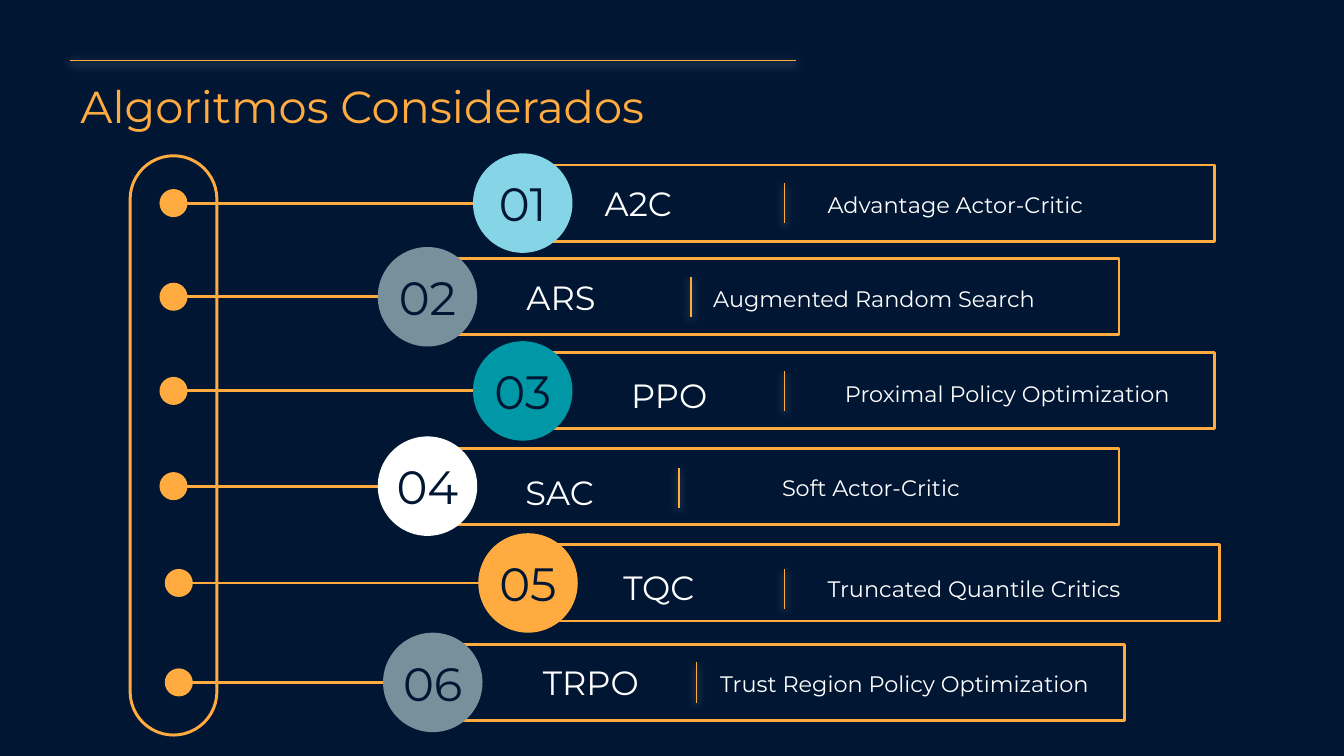
"""Build the slide listing the six algorithms considered."""
from dataclasses import dataclass

from lxml import etree
from pptx import Presentation
from pptx import util as u
from pptx.dml.color import RGBColor
from pptx.enum import shapes, text
from pptx.oxml import ns


@dataclass(frozen=True)
class Theme:
    font: str = "Montserrat"
    navy: str = "001633"
    orange: str = "FFAB40"
    white: str = "FFFFFF"
    sky: str = "85D5E6"
    slate: str = "78909C"
    teal: str = "0097A7"
    title: int = 24
    number: int = 25
    short: int = 18
    full: int = 12
    outline: float = 1.6
    hairline: float = 0.75


theme = Theme()
prs = Presentation()
prs.slide_width, prs.slide_height = u.Cm(25.4), u.Cm(14.29)
s = prs.slides.add_slide(prs.slide_layouts[6])
s.background.fill.solid()
s.background.fill.fore_color.rgb = RGBColor.from_string(theme.navy)


def add_shape(kind, cx, cy, w, h, fill=None):
    """Add a shape centred on a point, filled or else outlined."""
    sp = s.shapes.add_shape(kind, u.Cm(cx - w / 2), u.Cm(cy - h / 2), u.Cm(w), u.Cm(h))
    sp.shadow.inherit = False
    if fill:
        sp.fill.solid()
        sp.fill.fore_color.rgb = RGBColor.from_string(fill)
        sp.line.fill.background()
    else:
        sp.fill.background()
        sp.line.color.rgb = RGBColor.from_string(theme.orange)
        sp.line.width = u.Pt(theme.outline)
    return sp


def add_line(x1, y1, x2, y2, width, glow=False):
    """Add a straight orange line, with a soft white shadow if it glows."""
    ln = s.shapes.add_connector(shapes.MSO_CONNECTOR.STRAIGHT, u.Cm(x1), u.Cm(y1), u.Cm(x2), u.Cm(y2))
    ln.line.color.rgb = RGBColor.from_string(theme.orange)
    ln.line.width = u.Pt(width)
    effects = etree.SubElement(ln._element.spPr, ns.qn("a:effectLst"))
    if glow:
        shadow = etree.SubElement(effects, ns.qn("a:outerShdw"), blurRad=str(u.Pt(4.5)),
                                  dist=str(u.Pt(1.5)), dir="5400000", algn="bl", rotWithShape="0")
        color = etree.SubElement(shadow, ns.qn("a:srgbClr"), val=theme.white)
        etree.SubElement(color, ns.qn("a:alpha"), val="50000")


SHAPE = shapes.MSO_SHAPE
BAR_W, BAR_H, CIRCLE, DOT, DIVIDER, LABEL_H = 13.07, 1.44, 1.88, 0.53, 0.76, 1.52
LONG, SHORT = 6.6, 4.8

# y, dot x, reach, colour, divider (x, y), short name (text, x, y), full name (text, x, y, width)
rows = [
    (3.84, 3.28, LONG, theme.sky, (14.83, 3.84), ("A2C", 11.18, 3.84),
     ("Advantage Actor-Critic", 15.39, 3.86, 6.63)),
    (5.61, 3.28, SHORT, theme.slate, (13.06, 5.61), ("ARS", 9.7, 5.61),
     ("Augmented Random Search", 13.23, 5.64, 6.63)),
    (7.39, 3.28, LONG, theme.teal, (14.83, 7.39), ("PPO", 11.68, 7.47),
     ("Proximal Policy Optimization", 15.72, 7.44, 7.85)),
    (9.19, 3.28, SHORT, theme.white, (12.83, 9.22), ("SAC", 9.68, 9.3),
     ("Soft Actor-Critic", 14.53, 9.22, 6.63)),
    (11.02, 3.38, LONG, theme.orange, (14.83, 11.13), ("TQC", 11.53, 11.1),
     ("Truncated Quantile Critics", 15.39, 11.13, 6.63)),
    (12.9, 3.38, SHORT, theme.slate, (13.16, 12.9), ("TRPO", 10.01, 12.9),
     ("Trust Region Policy Optimization", 13.36, 12.93, 7.9)),
]

add_line(1.32, 1.14, 15.04, 1.14, theme.hairline, glow=True)
capsule = add_shape(SHAPE.ROUNDED_RECTANGLE, 3.28, 8.42, 1.64, 10.95)
capsule.adjustments[0] = 0.5

labels = [("Algoritmos Considerados", 1.27, 1.24, 22.23, 1.32, theme.title, theme.orange,
           text.MSO_ANCHOR.TOP)]
for i, (y, dot_x, reach, color, divider, short, full) in enumerate(rows, 1):
    x = dot_x + reach
    add_shape(SHAPE.RECTANGLE, x + BAR_W / 2, y, BAR_W, BAR_H)
    add_shape(SHAPE.OVAL, dot_x, y, DOT, DOT, theme.orange)
    add_line(dot_x, y, x, y, theme.outline)
    tf = add_shape(SHAPE.OVAL, x, y, CIRCLE, CIRCLE, color).text_frame
    tf.text = f"{i:02d}"
    tf.word_wrap = False
    tf.margin_left = tf.margin_right = tf.margin_top = tf.margin_bottom = 0
    tf.vertical_anchor = text.MSO_ANCHOR.MIDDLE
    p = tf.paragraphs[0]
    p.alignment = text.PP_ALIGN.CENTER
    r = p.runs[0]
    r.font.name, r.font.size = theme.font, u.Pt(theme.number)
    r.font.color.rgb = RGBColor.from_string(theme.navy)

    div_x, div_y = divider
    add_line(div_x, div_y - DIVIDER / 2, div_x, div_y + DIVIDER / 2, theme.hairline, glow=True)
    for (words, left, mid, width), size in (((*short, 4.11), theme.short), (full, theme.full)):
        labels.append((words, left, mid - LABEL_H / 2, width, LABEL_H, size, theme.white,
                       text.MSO_ANCHOR.MIDDLE))

for words, left, top, width, height, size, color, anchor in labels:
    tf = s.shapes.add_textbox(u.Cm(left), u.Cm(top), u.Cm(width), u.Cm(height)).text_frame
    tf.text = words
    tf.word_wrap = True
    tf.vertical_anchor = anchor
    tf.margin_left = tf.margin_right = tf.margin_top = tf.margin_bottom = u.Cm(0.25)
    r = tf.paragraphs[0].runs[0]
    r.font.name, r.font.size = theme.font, u.Pt(size)
    r.font.color.rgb = RGBColor.from_string(color)

prs.save("out.pptx")
